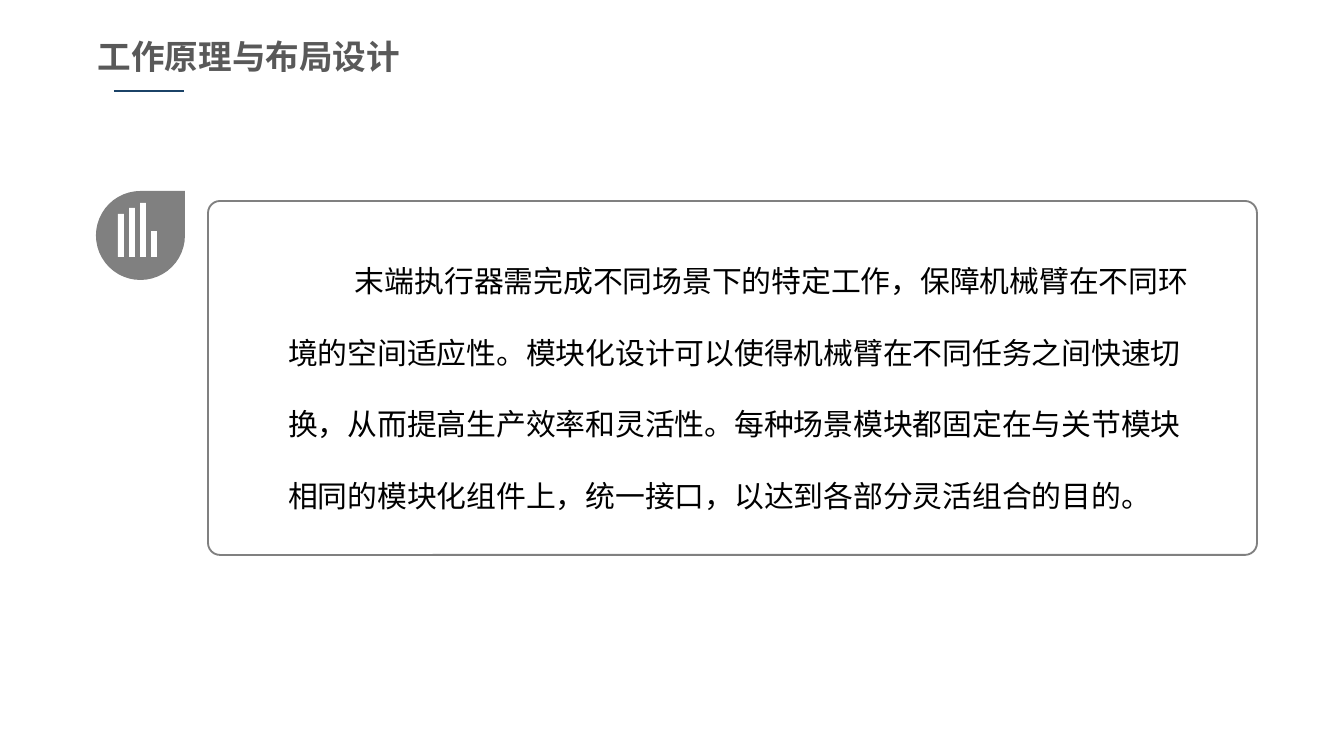
"""Build the slide on the working principle and layout of the end effector."""
import dataclasses
import typing

import lxml.etree
import pptx
import pptx.dml.color
import pptx.enum.shapes
import pptx.enum.text
import pptx.oxml.ns
import pptx.util

EMU_PER_PX = 914400 / 134.4
SHAPES = pptx.enum.shapes.MSO_SHAPE
ALIGN = pptx.enum.text.PP_ALIGN


@dataclasses.dataclass(frozen=True)
class Theme:
    font: str = "Noto Sans CJK SC"
    title: str = "595959"
    body: str = "000000"
    accent: str = "1B4367"
    grey: str = "808080"
    white: str = "FFFFFF"
    title_size: int = 18
    body_size: int = 16


@dataclasses.dataclass(frozen=True)
class Box:
    left: int
    top: int
    width: int
    height: int

    def emu(self) -> list[int]:
        return [px(value) for value in dataclasses.astuple(self)]


THEME = Theme()
BAR_HEIGHTS = (43, 49, 54, 26)
BAR_LEFT, BAR_BASE, BAR_WIDTH, BAR_PITCH = 118, 257, 6, 11


def px(value: float) -> int:
    return round(value * EMU_PER_PX)


def rgb(value: str) -> pptx.dml.color.RGBColor:
    return pptx.dml.color.RGBColor.from_string(value)


def add_block(parent: typing.Any, kind: typing.Any, box: Box,
              fill: str | None = None, outline: str | None = None) -> typing.Any:
    block = parent.add_shape(kind, *box.emu())
    block.shadow.inherit = False
    if fill:
        block.fill.solid()
        block.fill.fore_color.rgb = rgb(fill)
    else:
        block.fill.background()
    if outline:
        block.line.color.rgb = rgb(outline)
        block.line.width = pptx.util.Pt(1)
    else:
        block.line.fill.background()
    return block


def add_text(parent: typing.Any, text: str, box: Box, *, size: int, color: str,
             bold: bool = False, align: typing.Any = None, level: int = 0,
             indent: int = 0, spacing: float | None = None,
             insets: tuple[int, int] = (13, 7), grow: bool = False) -> None:
    label = parent.add_textbox(*box.emu())
    frame = label.text_frame
    frame.word_wrap = True
    if grow:
        frame.auto_size = pptx.enum.text.MSO_AUTO_SIZE.SHAPE_TO_FIT_TEXT
    frame.margin_left = frame.margin_right = px(insets[0])
    frame.margin_top = frame.margin_bottom = px(insets[1])
    paragraph = frame.paragraphs[0]
    paragraph.alignment = align
    paragraph.level = level
    if spacing:
        paragraph.line_spacing = spacing
    if indent:
        properties = paragraph._p.get_or_add_pPr()
        properties.set("marL", str(px(indent)))
        properties.set("indent", str(px(indent)))
    run = paragraph.add_run()
    run.text = text
    run.font.size = pptx.util.Pt(size)
    run.font.bold = bold
    run.font.color.rgb = rgb(color)
    run.font.name = THEME.font
    east_asian = lxml.etree.SubElement(run._r.get_or_add_rPr(), pptx.oxml.ns.qn("a:ea"))
    east_asian.set("typeface", THEME.font)


def add_underline(parent: typing.Any, left: int, right: int, y: int) -> None:
    underline = parent.add_connector(
        pptx.enum.shapes.MSO_CONNECTOR.STRAIGHT, px(left), px(y), px(right), px(y))
    underline.line.color.rgb = rgb(THEME.accent)
    underline.line.width = pptx.util.Pt(0.75)
    lxml.etree.SubElement(underline._element.spPr, pptx.oxml.ns.qn("a:effectLst"))


def add_chart_icon(parent: typing.Any) -> None:
    add_block(parent, SHAPES.TEAR, Box(96, 191, 89, 89), fill=THEME.grey)
    bars = parent.add_group_shape()
    for index, height in enumerate(BAR_HEIGHTS):
        bar = Box(BAR_LEFT + index * BAR_PITCH, BAR_BASE - height, BAR_WIDTH, height)
        add_block(bars.shapes, SHAPES.RECTANGLE, bar, fill=THEME.white)


def main() -> None:
    deck = pptx.Presentation()
    deck.slide_width, deck.slide_height = px(1344), px(756)
    canvas = deck.slides.add_slide(deck.slide_layouts[6]).shapes
    add_chart_icon(canvas)
    add_underline(canvas, 114, 184, 91)
    add_text(canvas, "工作原理与布局设计", Box(83, 31, 332, 51), size=THEME.title_size,
             color=THEME.title, bold=True, align=ALIGN.CENTER, insets=(9, 5), grow=True)
    panel = add_block(canvas, SHAPES.ROUNDED_RECTANGLE, Box(208, 201, 1049, 354),
                      outline=THEME.grey)
    panel.adjustments[0] = 0.034
    add_text(canvas,
             "末端执行器需完成不同场景下的特定工作，保障机械臂在不同环境的空间适应性。"
             "模块化设计可以使得机械臂在不同任务之间快速切换，从而提高生产效率和灵活性。"
             "每种场景模块都固定在与关节模块相同的模块化组件上，统一接口，"
             "以达到各部分灵活组合的目的。",
             Box(208, 220, 1011, 407), size=THEME.body_size, color=THEME.body,
             level=1, indent=67, spacing=2.0)
    deck.save("out.pptx")


if __name__ == "__main__":
    main()
